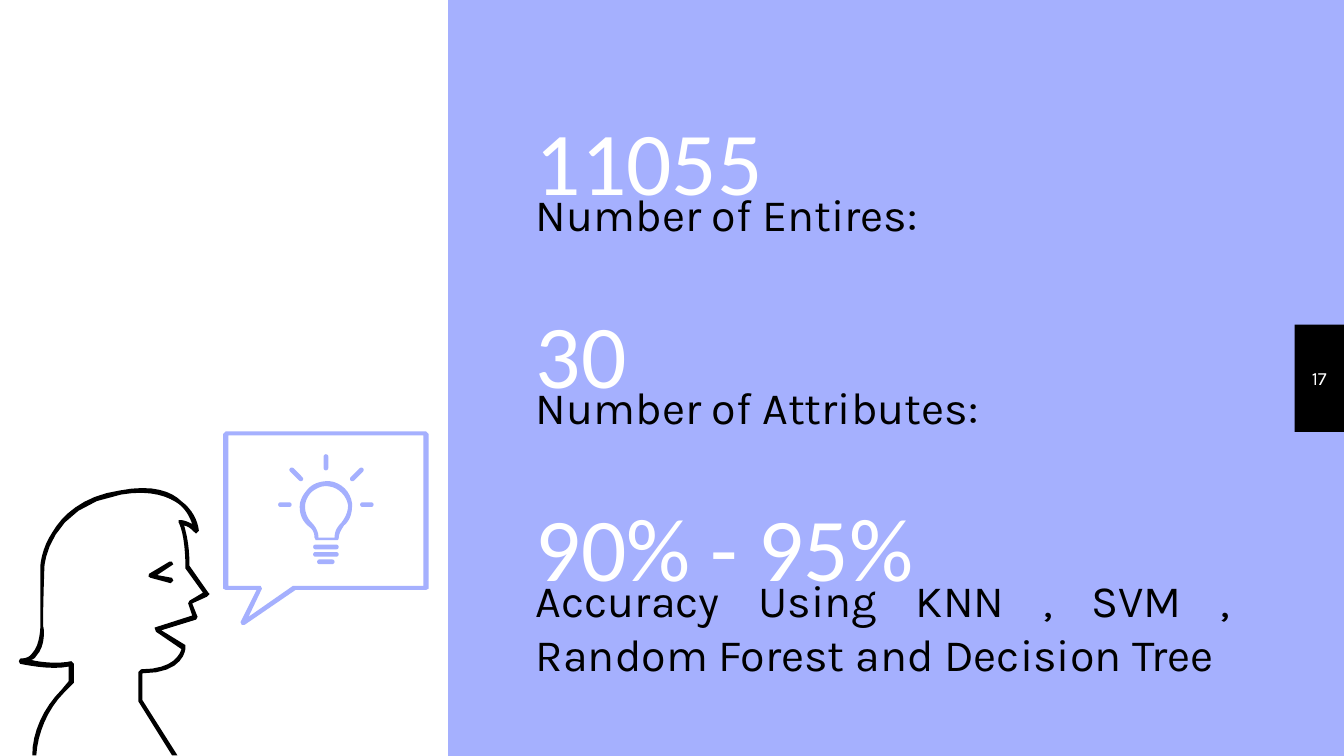
from pptx import Presentation
from pptx.dml.color import RGBColor
from pptx.enum.shapes import MSO_SHAPE
from pptx.enum.text import MSO_ANCHOR, PP_ALIGN
from pptx.util import Pt

RECT, ROUNDED = MSO_SHAPE.RECTANGLE, MSO_SHAPE.ROUNDED_RECTANGLE
TOP, MIDDLE, BOTTOM = MSO_ANCHOR.TOP, MSO_ANCHOR.MIDDLE, MSO_ANCHOR.BOTTOM
LEFT, CENTER, JUSTIFY = PP_ALIGN.LEFT, PP_ALIGN.CENTER, PP_ALIGN.JUSTIFY

LAVENDER = RGBColor(0xA5, 0xB0, 0xFE)
BLACK = RGBColor(0, 0, 0)
WHITE = RGBColor(0xFF, 0xFF, 0xFF)

UNIT = 0.72         # points per drawing unit in the outlines below
CURVE_STEPS = 8
STAT_TOP, STAT_PITCH = 51, 103.4

STATS = [
    ("11055", "Number of Entires:", LEFT),
    ("30", "Number of Attributes:", LEFT),
    ("90% - 95%", "Accuracy Using KNN , SVM , Random Forest and Decision Tree",
     JUSTIFY),
]

# Outlines: a pair is a corner, six numbers are a Bezier curve
EYE = [[(111, 427), (126, 418), (128, 418), (129, 420), (117, 428),
        (128, 430), (129, 432), (127, 434), (112, 430), (110.5, 429)]]
HEAD = [[
    # Mouth, chin and front of the neck
    (138, 480), (138, 482), (138, 483, 137, 501, 106, 501), (106, 521),
    (132, 562), (128, 562), (103, 522), (103, 500), (105, 498),
    (130, 498, 134, 486, 135, 483), (116, 470), (115, 467), (143, 458),
    # Inner side of nose, fringe and hair
    (140, 449), (141, 447), (151, 441), (138, 423), (138, 397, 133, 389, 133, 389),
    (133, 387), (134, 387), (138, 387, 141, 389, 143, 390),
    (141, 384, 138, 379, 133, 375), (126, 370, 113, 364, 90, 368),
    (36, 377, 33, 421, 33, 422), (33, 425, 32, 449, 32, 466),
    (33, 467, 34, 481, 27, 488), (26, 490, 24, 491, 23, 491),
    # Nape and back
    (31, 493, 44, 494, 53, 492), (55, 494), (55, 508), (48, 515),
    (35, 528, 28, 546, 27, 562), (24, 562), (24, 545, 32, 527, 46, 513),
    (51, 507), (51, 496), (37, 499, 16, 494, 15, 494), (14, 492), (15, 490),
    # Outer side of hair, fringe and nose
    (19, 490, 22, 489, 24, 486), (30, 480, 30, 466, 30, 466), (30, 422),
    (30, 420, 31, 408, 39, 396), (46, 384, 61, 369, 89, 365),
    (114, 360, 128, 366, 135, 373), (143, 379, 147, 387, 148, 395),
    (146, 397), (145, 397, 142, 392, 137, 391), (138, 395, 141, 404, 141, 421),
    (155, 441), (156, 442), (154, 444), (143, 449), (147, 459), (146, 461),
    (120, 469),
]]
BUBBLE = [
    [(168, 321), (317, 321), (319, 323), (319, 438), (317, 439), (220, 439),
     (182, 465), (180, 465), (179, 463), (191, 439), (168, 439), (166, 438),
     (166, 323)],
    [(170, 436), (194, 436), (195, 438), (185, 459), (218, 436), (315, 436),
     (315, 324), (170, 324)],
]
BULB = [
    [(256, 391), (254, 394, 252, 397, 252, 401), (251, 402), (235, 402),
     (234, 400), (234, 397, 233, 394, 230, 392), (225, 388, 223, 383, 223, 377),
     (223, 372, 226, 367, 230, 363), (234, 359, 240, 358, 245, 358),
     (254, 359, 261, 366, 262, 375), (262, 381, 261, 387, 256, 391)],
    [(259, 376), (258, 369, 252, 363, 245, 362), (240, 361, 236, 363, 232, 366),
     (229, 369, 227, 373, 227, 377), (227, 382, 229, 386, 232, 389),
     (235, 392, 237, 396, 237, 400), (249, 400), (249, 395, 251, 392, 254, 389),
     (257, 385, 259, 381, 259, 376)],
]
# Bulb base and rays: centre x, centre y, length, rotation
BARS = [
    (242.5, 407, 19, 0), (242.5, 412.5, 19, 0), (242.5, 418, 13, 0),
    (212, 375.5, 10, 0), (220.5, 353, 13, 45), (242.5, 344, 12, 90),
    (265.5, 353, 13, -45), (273, 375.5, 10, 0),
]


def paint(sp, color):
    sp.shadow.inherit = False
    sp.fill.solid()
    sp.fill.fore_color.rgb = color
    sp.line.fill.background()


def add_block(slide, x, y, w, h, color, shape=RECT):
    sp = slide.shapes.add_shape(shape, Pt(x), Pt(y), Pt(w), Pt(h))
    paint(sp, color)
    return sp


def add_text(slide, x, y, w, h, text, font, size, color, anchor=TOP, align=LEFT):
    tf = slide.shapes.add_textbox(Pt(x), Pt(y), Pt(w), Pt(h)).text_frame
    tf.word_wrap = True
    tf.vertical_anchor = anchor
    tf.margin_left = tf.margin_right = tf.margin_top = tf.margin_bottom = Pt(7.2)
    tf.text = text
    p = tf.paragraphs[0]
    p.alignment = align
    f = p.runs[0].font
    f.name, f.size, f.color.rgb = font, Pt(size), color


def flatten(contour):
    """Turn corners and curves into a list of points in EMU."""
    points = []
    for step in contour:
        if len(step) == 2:
            points.append(step)
            continue
        nodes = [points[-1], step[:2], step[2:4], step[4:]]
        for i in range(1, CURVE_STEPS + 1):
            t = i / CURVE_STEPS
            weights = ((1 - t) ** 3, 3 * t * (1 - t) ** 2, 3 * t * t * (1 - t), t ** 3)
            points.append(tuple(sum(k * n[axis] for k, n in zip(weights, nodes))
                                for axis in (0, 1)))
    return [(Pt(x * UNIT), Pt(y * UNIT)) for x, y in points]


def add_outline(slide, contours, color):
    first, *rest = [flatten(c) for c in contours]
    builder = slide.shapes.build_freeform(*first[0])
    builder.add_line_segments(first[1:], close=True)
    for points in rest:
        builder.move_to(*points[0])
        builder.add_line_segments(points[1:], close=True)
    paint(builder.convert_to_shape(), color)


def add_bar(slide, cx, cy, length, rotation):
    thick = 3.5
    sp = add_block(slide, (cx - length / 2) * UNIT, (cy - thick / 2) * UNIT,
                   length * UNIT, thick * UNIT, LAVENDER, ROUNDED)
    sp.adjustments[0] = 0.5
    sp.rotation = rotation


def add_stat(slide, y, value, label, align):
    add_text(slide, 280, y, 386, 70.6, value, "Calibri", 48, WHITE, BOTTOM)
    add_text(slide, 280, y + 42, 386, 36.7, label, "Karla", 24, BLACK, align=align)


def main():
    prs = Presentation()
    prs.slide_width, prs.slide_height = Pt(720), Pt(405)
    s = prs.slides.add_slide(prs.slide_layouts[6])
    s.background.fill.solid()
    s.background.fill.fore_color.rgb = LAVENDER

    # Side panel and page tab
    add_block(s, 693.5, 174, 26.5, 57.5, BLACK)
    add_block(s, 0, 0, 240, 405, WHITE)

    # Key figures
    for i, stat in enumerate(STATS):
        add_stat(s, STAT_TOP + i * STAT_PITCH, *stat)
    add_text(s, 693.5, 173.7, 26.5, 57.5, "17", "Karla", 10, WHITE, MIDDLE, CENTER)

    # Speaker with an idea
    for contours, color in ((EYE, BLACK), (HEAD, BLACK),
                            (BUBBLE, LAVENDER), (BULB, LAVENDER)):
        add_outline(s, contours, color)
    for bar in BARS:
        add_bar(s, *bar)

    prs.save("out.pptx")


if __name__ == "__main__":
    main()
